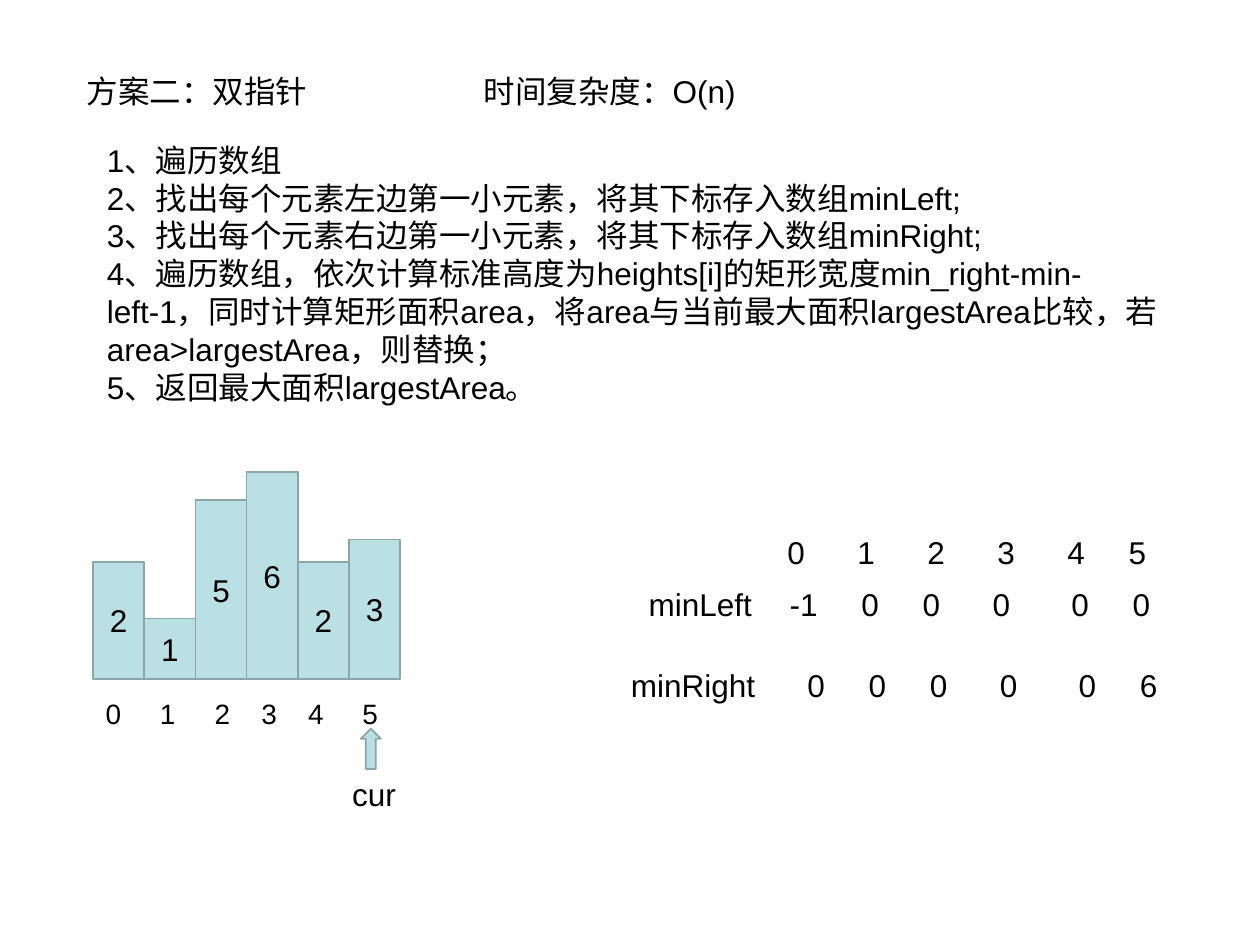
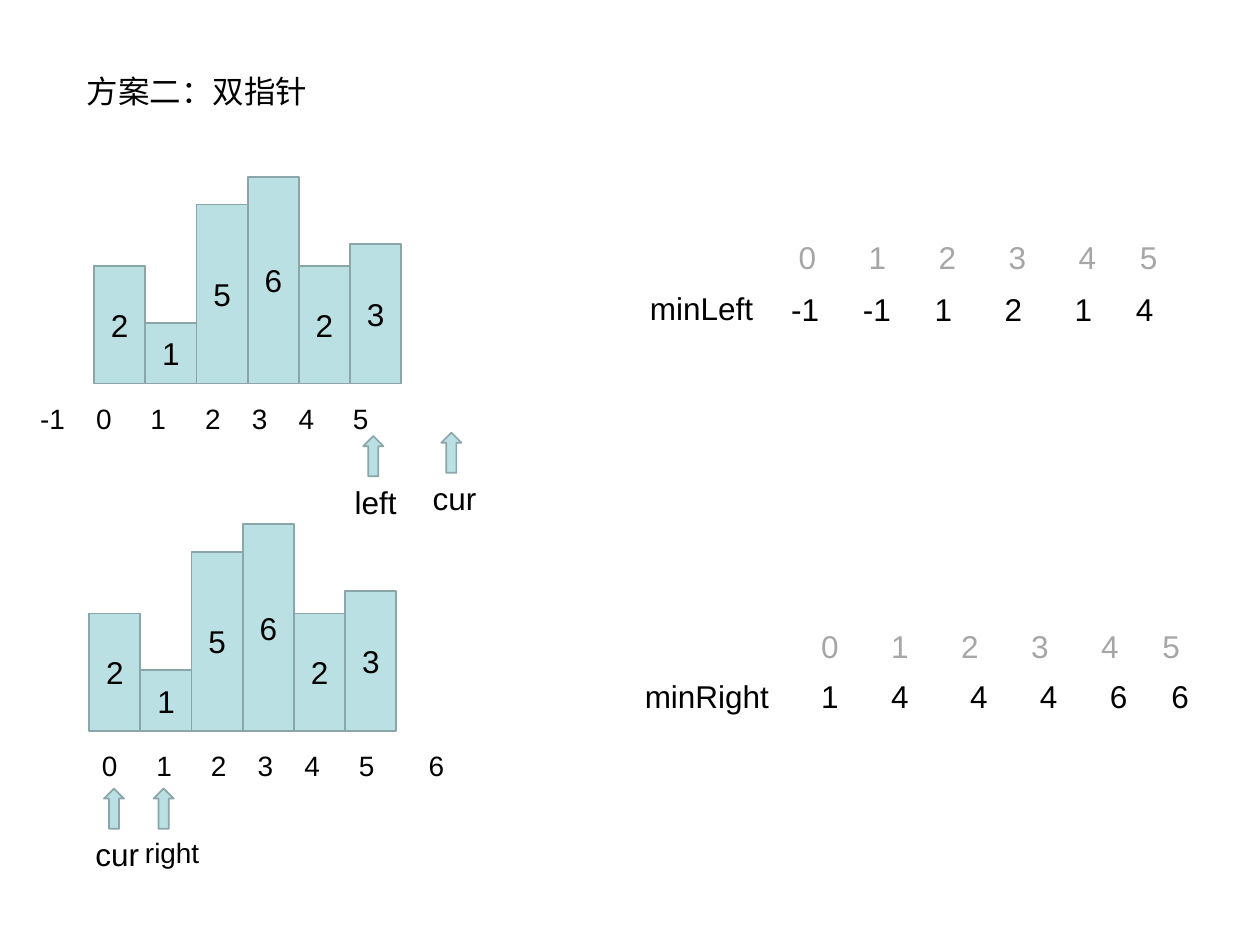
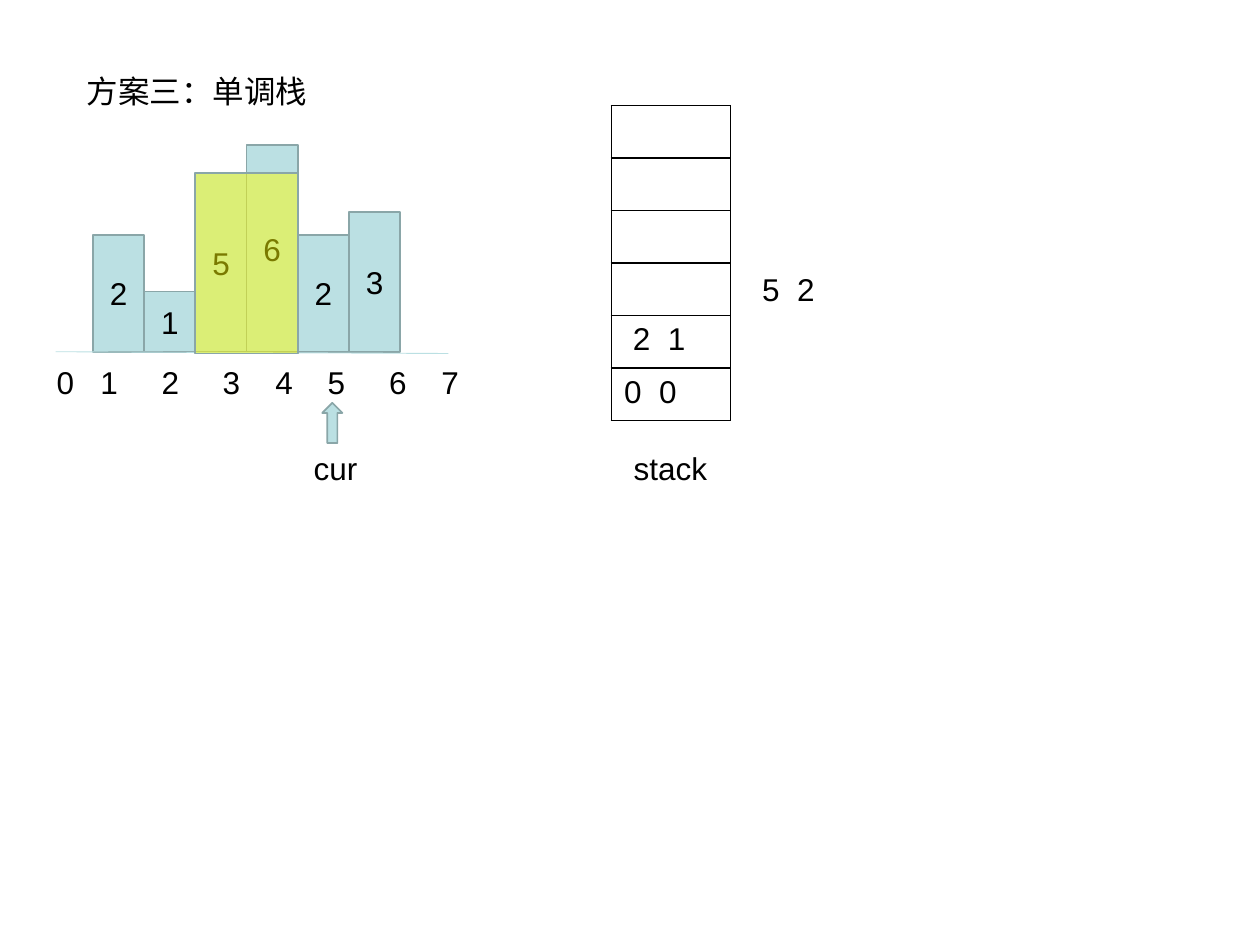
from lxml import etree
from pptx import Presentation
from pptx.dml.color import RGBColor
from pptx.enum import shapes, text
from pptx.oxml import ns
from pptx.util import Pt

BLACK = RGBColor(0, 0, 0)
WHITE = RGBColor(255, 255, 255)
GREY = RGBColor(0xA6, 0xA6, 0xA6)
TEAL = RGBColor(0xBB, 0xE0, 0xE3)
EDGE = RGBColor(0x8A, 0xA6, 0xA8)
YELLOW = RGBColor(255, 255, 0)
RECT = shapes.MSO_SHAPE.RECTANGLE
ARROW = shapes.MSO_SHAPE.UP_ARROW


def write(frame, lines, size=18, color=BLACK, stops=()):
    frame.word_wrap = True
    frame.text = "\n".join(lines)
    for para in frame.paragraphs:
        para.font.name = "Arial"
        para.font.size = Pt(size)
        para.font.color.rgb = color
        if stops:
            tabs = etree.Element(ns.qn("a:tabLst"))
            for stop in stops:
                etree.SubElement(tabs, ns.qn("a:tab"), pos=str(Pt(stop)), algn="l")
            para._p.get_or_add_pPr().insert(0, tabs)


def draw(page, kind, left, top, wide, high, fill=TEAL):
    shape = page.shapes.add_shape(kind, Pt(left), Pt(top), Pt(wide), Pt(high))
    shape.shadow.inherit = False
    shape.fill.solid()
    shape.fill.fore_color.rgb = fill
    shape.line.color.rgb = EDGE
    shape.line.width = Pt(1)
    return shape


deck = Presentation()
deck.slide_width, deck.slide_height = Pt(720), Pt(540)
first, second, third = pages = [
    deck.slides.add_slide(deck.slide_layouts[6]) for _ in range(3)
]

for page, title in zip(pages, ("方案二：双指针", "方案二：双指针", "方案三：单调栈")):
    box = page.shapes.add_textbox(Pt(42.5), Pt(37.4), Pt(240), Pt(29))
    write(box.text_frame, [title])

STEP = 29.25
BARS = [(2, 67), (1, 34.6), (5, 102.3), (6, 118.1), (2, 67), (3, 79.8)]
for page, left, base in (
    (first, 53.2, 388), (second, 53.8, 219.2), (second, 51, 417.6), (third, 53.2, 201.1),
):
    for col, (value, high) in enumerate(BARS):
        bar = draw(page, RECT, left + col * STEP, base - high, STEP, high)
        write(bar.text_frame, [str(value)])
        bar.text_frame.vertical_anchor = text.MSO_ANCHOR.MIDDLE
        bar.text_frame.paragraphs[0].alignment = text.PP_ALIGN.CENTER

for page, left, top, name, size in (
    (first, 206.2, 416.4, "cur", 18),
    (second, 252.2, 247.2, "cur", 18),
    (second, 207.6, 249.2, "left", 18),
    (second, 59.4, 450.6, "cur", 18),
    (second, 87.8, 450.6, "right", 16),
    (third, 184.2, 230.2, "cur", 18),
):
    draw(page, ARROW, left, top, 11.5, 23)
    box = page.shapes.add_textbox(Pt(left - 12), Pt(top + 23), Pt(47), Pt(29))
    write(box.text_frame, [name], size)

steps = [
    "1、遍历数组",
    "2、找出每个元素左边第一小元素，将其下标存入数组minLeft;",
    "3、找出每个元素右边第一小元素，将其下标存入数组minRight;",
    "4、遍历数组，依次计算标准高度为heights[i]的矩形宽度min_right-min-left-1，同时计算矩形面积area，将area与当前最大面积largestArea比较，若area>largestArea，则替换；",
    "5、返回最大面积largestArea。",
]
box = first.shapes.add_textbox(Pt(54), Pt(77), Pt(622), Pt(108))
write(box.text_frame, steps)

for page, left, top, wide, label in (
    (first, 269.3, 37.4, 240, "时间复杂度：O(n)"),
    (first, 363.6, 330.5, 79.2, "minLeft"),
    (first, 353.5, 376.9, 89.3, "minRight"),
    (second, 364.3, 161.6, 79.2, "minLeft"),
    (second, 361.4, 383.3, 89.3, "minRight"),
    (third, 355, 252.9, 67.7, "stack"),
):
    box = page.shapes.add_textbox(Pt(left), Pt(top), Pt(wide), Pt(29))
    write(box.text_frame, [label])

HEAD = (40, 80, 120, 160, 195)
MARKS = (31.1, 62.3, 89, 115.7, 146.8)
for page, left, top, row, stops, size, color in (
    (first, 53.2, 394.6, "0 1 2 3 4 5", MARKS, 16, BLACK),
    (first, 442.8, 301, "0 1 2 3 4 5", HEAD, 18, BLACK),
    (first, 444.2, 330.6, "-1 0 0 0 0 0", (41, 76, 116, 161, 196), 18, BLACK),
    (first, 454.3, 376.9, "0 0 0 0 0 6", (35, 70, 110, 155, 190), 18, BLACK),
    (second, 15.8, 226.1, "-1 0 1 2 3 4 5", [32] + [32 + mark for mark in MARKS], 16, BLACK),
    (second, 51.1, 424.1, "0 1 2 3 4 5 6", MARKS + (186.8,), 16, BLACK),
    (second, 449.3, 132.5, "0 1 2 3 4 5", HEAD, 18, GREY),
    (second, 445, 162, "-1 -1 1 2 1 4", (41, 82, 122, 162, 197), 18, BLACK),
    (second, 462.2, 355, "0 1 2 3 4 5", HEAD, 18, GREY),
    (second, 462.2, 383.3, "1 4 4 4 6 6", (40, 85, 125, 165, 200), 18, BLACK),
    (third, 25.2, 203.9, "0 1 2 3 4 5 6 7", (25, 60, 95, 125, 155, 190, 220), 18, BLACK),
    (third, 428.4, 151, "5 2", (20,), 18, BLACK),
):
    box = page.shapes.add_textbox(Pt(left), Pt(top), Pt(250), Pt(29))
    write(box.text_frame, [row.replace(" ", "\t")], size, color, stops)

grid = third.shapes.add_table(6, 1, Pt(349.4), Pt(60.4), Pt(68), Pt(180)).table
grid.first_row = grid.horz_banding = False
for row, label in enumerate(("", "", "", "", "2\t1", "0\t0")):
    cell = grid.cell(row, 0)
    cell.fill.solid()
    cell.fill.fore_color.rgb = WHITE
    write(cell.text_frame, [label], stops=(20,) if label else ())
    if row == 4:
        cell.margin_left = Pt(12.2)
    props = cell._tc.get_or_add_tcPr()
    for spot, side in enumerate("LRTB"):
        edge = etree.Element(ns.qn("a:ln" + side), w=str(Pt(1)))
        fill = etree.SubElement(edge, ns.qn("a:solidFill"))
        etree.SubElement(fill, ns.qn("a:srgbClr"), val=str(BLACK))
        props.insert(spot, edge)

ground = third.shapes.add_connector(
    shapes.MSO_CONNECTOR.STRAIGHT, Pt(31.8), Pt(201), Pt(256.2), Pt(202)
)
ground.line.color.rgb = TEAL
ground.line.width = Pt(0.5)
etree.SubElement(ground._element.spPr, ns.qn("a:effectLst"))

area = draw(third, RECT, 111.5, 98.8, 58.7, 103.2, YELLOW)
tint = area._element.spPr.find(ns.qn("a:solidFill"))[0]
etree.SubElement(tint, ns.qn("a:alpha"), val="48000")

deck.save("out.pptx")
